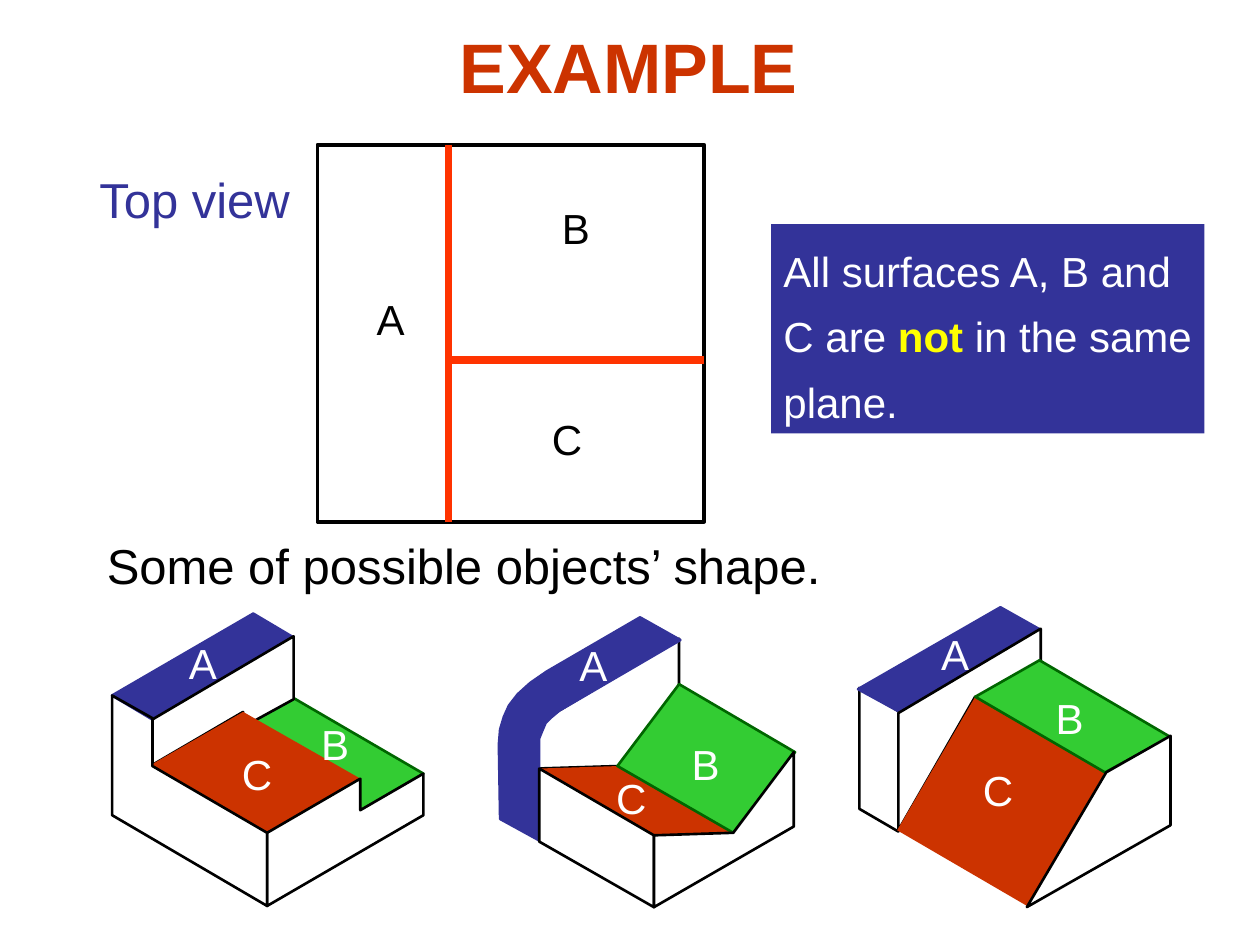
from dataclasses import dataclass

from lxml import etree
from pptx import Presentation
from pptx import util as u
from pptx.dml.color import RGBColor
from pptx.enum import shapes, text
from pptx.oxml.ns import qn


@dataclass(frozen=True)
class Theme:
    font: str = "Arial"
    black: str = "000000"
    white: str = "FFFFFF"
    blue: str = "333399"
    red: str = "CC3300"
    green: str = "33CC33"
    dark_green: str = "006600"
    orange: str = "FF3300"
    yellow: str = "FFFF00"
    title_size: int = 40
    heading_size: int = 28
    body_size: int = 24


theme = Theme()


def paint(shape, fill, line, width=1.5):
    """Set fill and outline; None leaves that part empty."""
    shape.shadow.inherit = False
    if fill:
        shape.fill.solid()
        shape.fill.fore_color.rgb = RGBColor.from_string(fill)
    else:
        shape.fill.background()
    if line:
        shape.line.color.rgb = RGBColor.from_string(line)
        shape.line.width = u.Pt(width)
    else:
        shape.line.fill.background()


def write(shape, words, size, color, align=text.PP_ALIGN.LEFT, bold=False):
    frame = shape.text_frame
    frame.word_wrap = False
    frame.vertical_anchor = text.MSO_ANCHOR.TOP
    frame.text = words
    for paragraph in frame.paragraphs:
        paragraph.alignment = align
        paragraph.font.name = theme.font
        paragraph.font.size = u.Pt(size)
        paragraph.font.bold = bold
        paragraph.font.color.rgb = RGBColor.from_string(color)


presentation = Presentation()
presentation.slide_width, presentation.slide_height = u.Inches(10), u.Inches(7.5)
slide = presentation.slides.add_slide(presentation.slide_layouts[5])

title = slide.shapes.title
title.left, title.top = u.Inches(3.29), u.Inches(0.14)
title.width, title.height = u.Inches(3.4), u.Inches(0.77)
write(title, "EXAMPLE", theme.title_size, theme.red, text.PP_ALIGN.CENTER, True)

# Top view: outlined regions divided by thick lines
left, split_x, right = 2.52, 3.57, 5.59
top, split_y, bottom = 1.15, 2.86, 4.14
regions = [
    (split_x, top, right, split_y),
    (split_x, split_y, right, bottom),
    (left, top, split_x, bottom),
]
for x1, y1, x2, y2 in regions:
    region = slide.shapes.add_shape(
        shapes.MSO_SHAPE.RECTANGLE,
        u.Inches(x1), u.Inches(y1), u.Inches(x2 - x1), u.Inches(y2 - y1))
    paint(region, None, theme.black, 2.25)

divider_x = 3.56
dividers = [
    (right, split_y, divider_x, split_y),
    (divider_x, top, divider_x, bottom),
]
for ends in dividers:
    divider = slide.shapes.add_connector(
        shapes.MSO_CONNECTOR.STRAIGHT, *(u.Inches(value) for value in ends))
    divider.line.color.rgb = RGBColor.from_string(theme.orange)
    divider.line.width = u.Pt(4.5)
    etree.SubElement(divider._element.spPr, qn("a:effectLst"))

headings = [
    ("Top view", 0.69, 1.3, 1.75, theme.blue),
    ("Some of possible objects’ shape.", 0.75, 4.2, 5.87, theme.black),
]
for words, x, y, width, color in headings:
    box = slide.shapes.add_textbox(
        u.Inches(x), u.Inches(y), u.Inches(width), u.Inches(0.57))
    write(box, words, theme.heading_size, color)

note = slide.shapes.add_shape(
    shapes.MSO_SHAPE.RECTANGLE,
    u.Inches(6.12), u.Inches(1.78), u.Inches(3.44), u.Inches(1.66))
paint(note, theme.blue, None)
write(note, "All surfaces A, B and\vC are \nplane.", theme.body_size, theme.white)
first = note.text_frame.paragraphs[0]
emphasis = first.add_run()
emphasis.text = "not"
emphasis.font.bold = True
emphasis.font.color.rgb = RGBColor.from_string(theme.yellow)
first.add_run().text = " in the same"
for paragraph in note.text_frame.paragraphs:
    paragraph.line_spacing = 1.3

# Faces of the three solids, from back to front: (fill, line), corners
wall = (theme.white, theme.black)
face_a = (theme.blue, theme.blue)
face_b = (theme.green, theme.dark_green)
face_c = (theme.red, None)

stepped = [
    (face_b, [(2.33, 5.54), (1.82, 5.83), (2.85, 6.44), (3.36, 6.14)]),
    (face_a, [(1.21, 5.71), (0.89, 5.52), (2.01, 4.87), (2.33, 5.06)]),
    (wall, [(1.21, 5.71), (1.21, 6.07), (1.93, 5.65), (1.93, 5.77),
            (2.33, 5.55), (2.33, 5.05)]),
    (face_c, [(1.2, 6.07), (1.93, 5.65), (2.86, 6.18), (2.12, 6.61)]),
    (wall, [(2.12, 6.61), (2.86, 6.18), (2.86, 6.43), (3.36, 6.14),
            (3.36, 6.47), (2.12, 7.19)]),
    ((None, theme.black), [(0.89, 5.52), (1.21, 5.7), (1.21, 6.08),
                           (2.12, 6.61), (2.12, 7.19), (0.89, 6.47)]),
]
curved = [
    (wall, [(4.27, 5.74), (4.26, 6.1), (4.91, 6.08), (5.39, 5.44), (5.39, 5.07)]),
    (face_c, [(4.27, 6.1), (4.9, 6.08), (5.83, 6.61), (5.18, 6.63)]),
    (face_b, [(5.39, 5.43), (4.9, 6.08), (5.82, 6.61), (6.31, 5.97)]),
    (face_a, [(5.4, 5.08), (4.44, 5.64), (4.38, 5.69), (4.33, 5.74), (4.3, 5.81),
              (4.28, 5.86), (4.28, 6.67), (3.97, 6.5), (3.96, 5.91),
              (3.97, 5.79), (4, 5.69), (4.04, 5.6), (4.11, 5.51), (4.21, 5.42),
              (4.34, 5.33), (5.08, 4.9)]),
    (wall, [(4.28, 6.1), (5.19, 6.63), (5.19, 7.2), (4.28, 6.68)]),
    (wall, [(5.19, 6.63), (5.82, 6.61), (6.3, 5.97), (6.3, 6.56), (5.19, 7.2)]),
]
sloped = [
    (wall, [(6.82, 5.46), (7.14, 5.65), (7.14, 6.02), (7.13, 6.6), (6.82, 6.42)]),
    (face_a, [(7.14, 5.65), (6.81, 5.47), (7.94, 4.82), (8.26, 5)]),
    (wall, [(7.13, 5.66), (7.13, 6.59), (7.74, 5.53), (7.85, 5.71),
            (8.26, 5.49), (8.26, 4.99)]),
    (face_c, [(7.74, 5.53), (7.12, 6.59), (8.15, 7.19), (8.77, 6.13)]),
    (face_b, [(8.25, 5.24), (7.74, 5.53), (8.77, 6.13), (9.29, 5.85)]),
    (wall, [(8.78, 6.13), (9.29, 5.84), (9.29, 6.55), (8.15, 7.2)]),
]
for (fill, line), corners in stepped + curved + sloped:
    points = [(u.Inches(x), u.Inches(y)) for x, y in corners]
    builder = slide.shapes.build_freeform(*points[0])
    builder.add_line_segments(points[1:], close=True)
    paint(builder.convert_to_shape(), fill, line)

# Surface letters: top-left corners of A, B and C in each view
views = [
    (theme.black, [(2.89, 2.28), (4.36, 1.56), (4.28, 3.23)]),
    (theme.white, [(1.4, 5.01), (2.45, 5.65), (1.82, 5.89)]),
    (theme.white, [(4.5, 5.03), (5.39, 5.81), (4.79, 6.08)]),
    (theme.white, [(7.37, 4.94), (8.28, 5.45), (7.7, 6.02)]),
]
for color, corners in views:
    for letter, width, (x, y) in zip("ABC", (0.42, 0.42, 0.44), corners):
        label = slide.shapes.add_textbox(
            u.Inches(x), u.Inches(y), u.Inches(width), u.Inches(0.5))
        write(label, letter, theme.body_size, color, text.PP_ALIGN.CENTER)

presentation.save("out.pptx")
